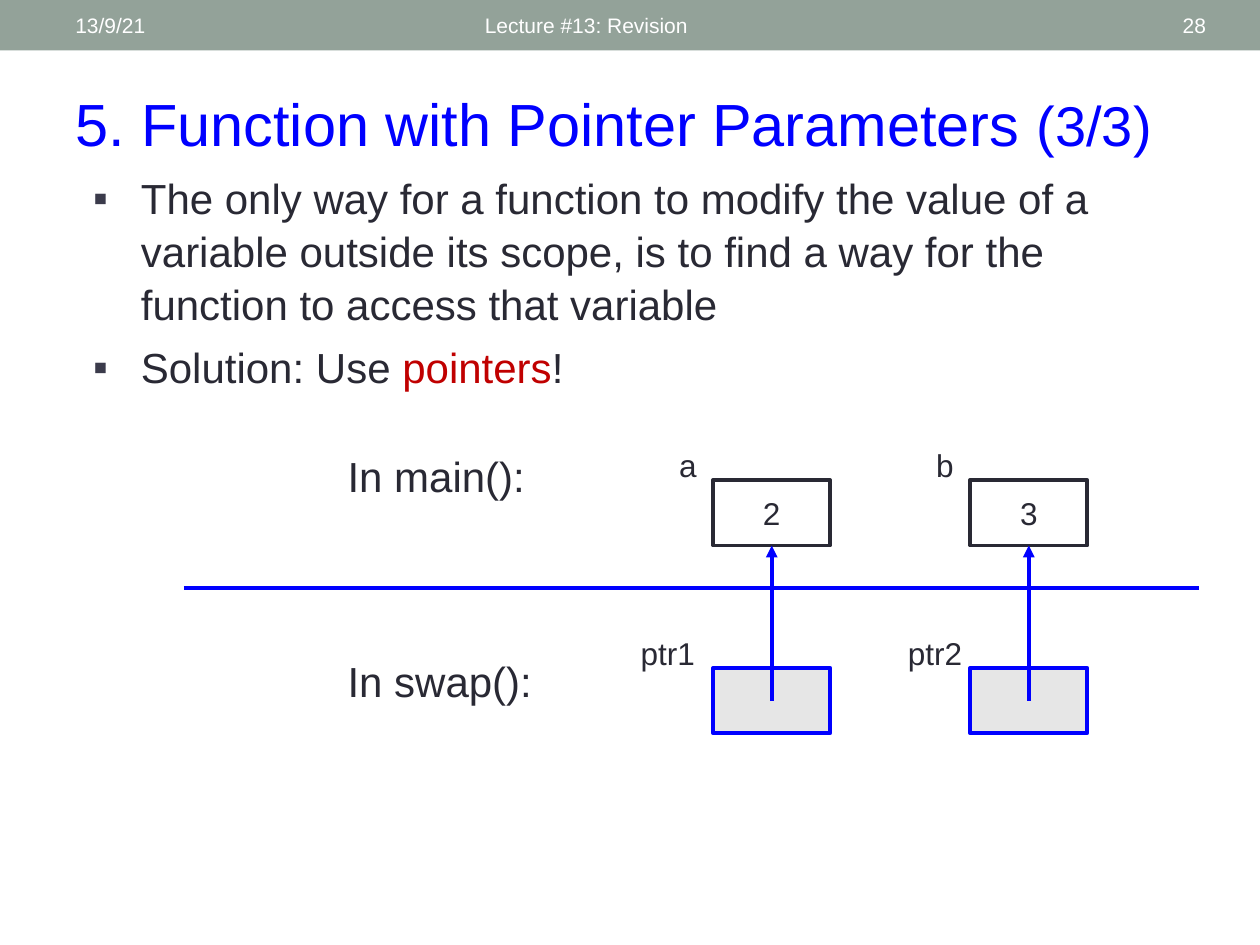
from lxml import etree
from pptx import Presentation
from pptx.dml.color import RGBColor
from pptx.enum.shapes import MSO_CONNECTOR as Connector, MSO_SHAPE as Shape
from pptx.enum.text import MSO_ANCHOR as Anchor, PP_ALIGN as Align
from pptx.oxml.ns import qn
from pptx.util import Inches, Pt

FONT = "Arial"
COLORS = {
    "band": "93A299",
    "white": "FFFFFF",
    "blue": "0000FF",
    "text": "292934",
    "bullet": "3B3B4B",
    "accent": "C00000",
    "pointer": "E6E6E6",
}
CELL_WIDTH, CELL_HEIGHT = 0.93, 0.52
VARIABLE_TOP, POINTER_TOP = 3.81, 5.3


def color(name):
    return RGBColor.from_string(COLORS[name])


def add_span(para, text, size, color_name):
    span = para.add_run()
    span.text = text
    span.font.name = FONT
    span.font.size = Pt(size)
    span.font.color.rgb = color(color_name)


def add_box(page, left, top, width, height, anchor=Anchor.TOP):
    """Add an empty wrapping text box and return its text frame."""
    box = page.shapes.add_textbox(
        Inches(left), Inches(top), Inches(width), Inches(height))
    frame = box.text_frame
    frame.word_wrap = True
    frame.vertical_anchor = anchor
    return frame


def add_label(page, text, left, top, width, height, size=18,
              color_name="text", align=Align.CENTER, anchor=Anchor.TOP):
    para = add_box(page, left, top, width, height, anchor).paragraphs[0]
    para.alignment = align
    add_span(para, text, size, color_name)


def add_rect(page, left, top, width, height, fill=None, line=None):
    rect = page.shapes.add_shape(
        Shape.RECTANGLE, Inches(left), Inches(top), Inches(width), Inches(height))
    rect.shadow.inherit = False
    if fill:
        rect.fill.solid()
        rect.fill.fore_color.rgb = color(fill)
    else:
        rect.fill.background()
    if line:
        rect.line.color.rgb = color(line)
        rect.line.width = Pt(2.08)
    else:
        rect.line.fill.background()


def add_line(page, start, end, arrow=False):
    line = page.shapes.add_connector(
        Connector.STRAIGHT, *(Inches(value) for value in start + end))
    line.line.color.rgb = color("blue")
    line.line.width = Pt(2.25)
    if arrow:
        etree.SubElement(line.line._get_or_add_ln(), qn("a:tailEnd"), type="triangle")
    etree.SubElement(line._element.spPr, qn("a:effectLst"))


def make_bullet(para):
    """Give the paragraph a square bullet and a hanging indent."""
    props = para._p.get_or_add_pPr()
    props.set("marL", str(Inches(0.38)))
    props.set("indent", str(-Inches(0.38)))
    bullet_color = etree.SubElement(props, qn("a:buClr"))
    etree.SubElement(bullet_color, qn("a:srgbClr"), val=COLORS["bullet"])
    etree.SubElement(props, qn("a:buFont"), typeface=FONT)
    etree.SubElement(props, qn("a:buChar"), char="▪")


def add_header(page):
    add_rect(page, 0, 0, 10, 0.4, fill="band")
    for text, left, width, align in (
        ("13/9/21", 0.5, 3.17, Align.LEFT),
        ("Lecture #13: Revision", 3.75, 4.5, Align.LEFT),
        ("28", 8.72, 0.95, Align.RIGHT),
    ):
        add_label(page, text, left, 0.02, width, 0.36, 12, "white", align, Anchor.MIDDLE)


def add_title(page):
    para = add_box(page, 0.5, 0.64, 9.17, 0.67).paragraphs[0]
    add_span(para, "5. Function with Pointer Parameters ", 34, "blue")
    add_span(para, "(3/3)", 32, "blue")


def add_points(page):
    points = (
        (("The only way for a function to modify the value of a variable outside "
          "its scope, is to find a way for the function to access that variable",
          "text"),),
        (("Solution: Use ", "text"), ("pointers", "accent"), ("!", "text")),
    )
    frame = add_box(page, 0.64, 1.3, 9, 5.45)
    for index, spans in enumerate(points):
        para = frame.add_paragraph() if index else frame.paragraphs[0]
        make_bullet(para)
        para.line_spacing = 1.05
        if index:
            para.space_before = Pt(6)
        for text, color_name in spans:
            add_span(para, text, 24, color_name)


def add_variable(page, left, name, value):
    add_rect(page, left, VARIABLE_TOP, CELL_WIDTH, CELL_HEIGHT, line="text")
    add_label(page, value, left + 0.16, 3.87, 0.61, 0.4)
    add_label(page, name, left - 0.4, 3.49, 0.4, 0.4)


def add_pointer(page, left, name, label_left, label_width):
    """Add a pointer cell with an arrow up to the variable above it."""
    add_rect(page, left, POINTER_TOP, CELL_WIDTH, CELL_HEIGHT, "pointer", "blue")
    add_label(page, name, label_left, 4.98, label_width, 0.4)
    center = left + CELL_WIDTH / 2
    add_line(page, (center, POINTER_TOP + CELL_HEIGHT / 2),
             (center, VARIABLE_TOP + CELL_HEIGHT), arrow=True)


def add_diagram(page):
    for text, top in (("In main():", 3.53), ("In swap():", 5.15)):
        add_label(page, text, 2.66, top, 1.69, 0.5, 24, align=Align.LEFT)
    add_line(page, (1.46, 4.67), (9.52, 4.67))
    for left, name, value, pointer, label_left, label_width in (
        (5.66, "a", "2", "ptr1", 4.79, 1.02),
        (7.7, "b", "3", "ptr2", 6.98, 0.88),
    ):
        add_variable(page, left, name, value)
        add_pointer(page, left, pointer, label_left, label_width)


def main():
    deck = Presentation()
    deck.slide_width, deck.slide_height = Inches(10), Inches(7.5)
    page = deck.slides.add_slide(deck.slide_layouts[6])
    add_header(page)
    add_title(page)
    add_points(page)
    add_diagram(page)
    deck.save("out.pptx")


if __name__ == "__main__":
    main()
